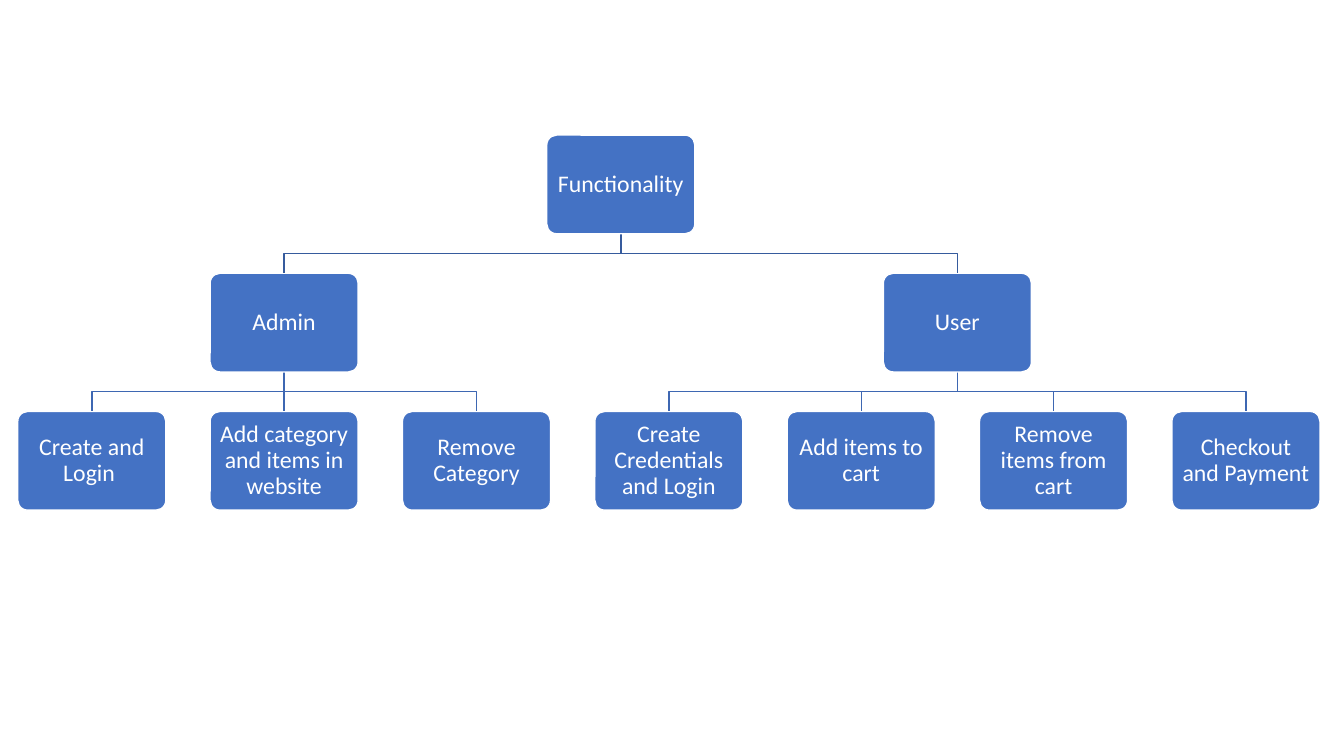
from lxml.etree import SubElement
from pptx import Presentation
from pptx.dml.color import RGBColor as RGB
from pptx.enum.shapes import MSO_CONNECTOR as Connector, MSO_SHAPE as Shape
from pptx.enum.text import MSO_ANCHOR as Anchor, PP_ALIGN as Align
from pptx.oxml.ns import qn
from pptx.util import Pt

COLORS = {
    "box": "4472C4",
    "edge": "FFFFFF",
    "text": "FFFFFF",
    "upper_link": "365B9D",
    "lower_link": "3E67B2",
}

TREE = ("Functionality ", [
    ("Admin", [
        ("Create and Login ", []),
        ("Add category and items in website", []),
        ("Remove Category", []),
    ]),
    ("User", [
        ("Create Credentials and Login", []),
        ("Add items to cart", []),
        ("Remove items from cart", []),
        ("Checkout and Payment", []),
    ]),
])


class Chart:
    font, size = "Calibri", 17
    box_w, box_h = 105.8, 70.5
    first_center, column_step = 65.6, 137.4
    top, row_step = 96.5, 98.7

    def __init__(self, slide):
        self.shapes = slide.shapes
        self.leaves = 0

    def color(self, name):
        return RGB.from_string(COLORS[name])

    def outline(self, s, name):
        s.line.color.rgb = self.color(name)
        s.line.width = Pt(1)

    def box(self, text, center, top):
        s = self.shapes.add_shape(
            Shape.ROUNDED_RECTANGLE, Pt(center - self.box_w / 2), Pt(top),
            Pt(self.box_w), Pt(self.box_h))
        s.adjustments[0] = 0.1
        s.shadow.inherit = False
        s.fill.solid()
        s.fill.fore_color.rgb = self.color("box")
        self.outline(s, "edge")
        tf = s.text_frame
        tf.word_wrap = True
        tf.vertical_anchor = Anchor.MIDDLE
        tf.margin_left = tf.margin_right = Pt(5)
        tf.margin_top = tf.margin_bottom = Pt(5)
        tf.text = text
        p = tf.paragraphs[0]
        p.alignment = Align.CENTER
        p.line_spacing = 0.9
        r = p.runs[0]
        r.font.name = self.font
        r.font.size = Pt(self.size)
        r.font.color.rgb = self.color("text")

    def link(self, start, end, top, bottom, name):
        if abs(start - end) < 0.1:
            s = self.shapes.add_connector(
                Connector.STRAIGHT, Pt(start), Pt(top), Pt(end), Pt(bottom))
            SubElement(s._element.spPr, qn("a:effectLst"))
        else:
            middle = (top + bottom) / 2
            builder = self.shapes.build_freeform(Pt(start), Pt(top))
            builder.add_line_segments(
                [(Pt(start), Pt(middle)), (Pt(end), Pt(middle)),
                 (Pt(end), Pt(bottom))], close=False)
            s = builder.convert_to_shape()
            s.fill.background()
            s.shadow.inherit = False
        self.outline(s, name)

    def branch(self, node, level=0):
        text, children = node
        top = self.top + level * self.row_step
        if children:
            centers = [self.branch(child, level + 1) for child in children]
            center = (centers[0] + centers[-1]) / 2
            name = "lower_link" if level else "upper_link"
            for end in centers:
                self.link(center, end, top + self.box_h,
                          top + self.row_step, name)
        else:
            center = self.first_center + self.leaves * self.column_step
            self.leaves += 1
        self.box(text, center, top)
        return center


def main():
    prs = Presentation()
    prs.slide_width, prs.slide_height = Pt(960), Pt(540)
    slide = prs.slides.add_slide(prs.slide_layouts[6])
    Chart(slide).branch(TREE)
    prs.save("out.pptx")


if __name__ == "__main__":
    main()
